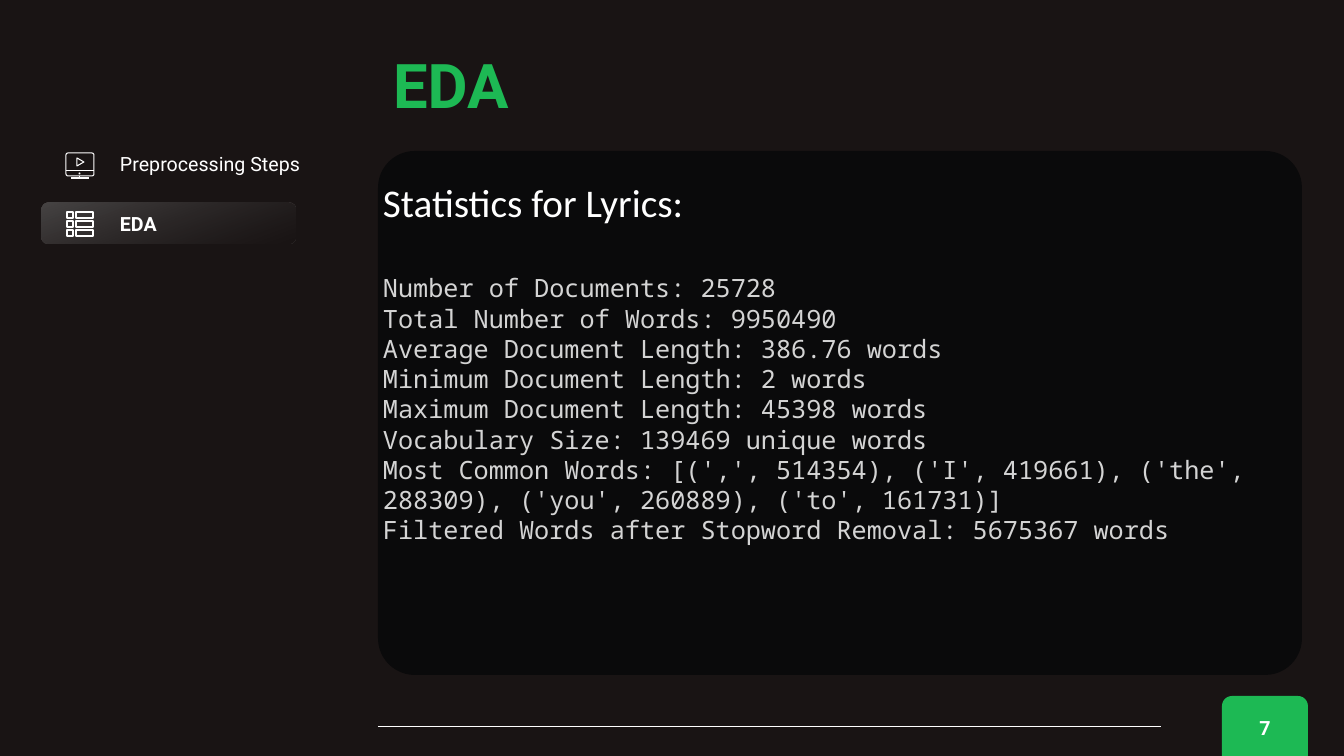
from lxml.etree import SubElement
from pptx import Presentation
from pptx.dml.color import RGBColor
from pptx.enum.shapes import MSO_CONNECTOR, MSO_SHAPE as SHAPE
from pptx.enum.text import MSO_ANCHOR as ANCHOR, MSO_AUTO_SIZE as AUTO_SIZE, PP_ALIGN as ALIGN
from pptx.oxml.ns import qn
from pptx.util import Emu, Pt

PIXEL = 914400 / 100.8
BACKGROUND = RGBColor(0x19, 0x14, 0x14)
GREEN = RGBColor(0x1D, 0xB9, 0x54)
CARD = RGBColor(0x0A, 0x0A, 0x0B)
WHITE = RGBColor(0xFF, 0xFF, 0xFF)
LIGHT_GRAY = RGBColor(0xD4, 0xD4, 0xD4)
MID_GRAY = RGBColor(0x80, 0x80, 0x80)

HEADING = "Statistics for Lyrics:"
STATISTICS = [
    "Number of Documents: 25728",
    "Total Number of Words: 9950490",
    "Average Document Length: 386.76 words",
    "Minimum Document Length: 2 words",
    "Maximum Document Length: 45398 words",
    "Vocabulary Size: 139469 unique words",
    "Most Common Words: [(',', 514354), ('I', 419661), ('the', 288309), "
    "('you', 260889), ('to', 161731)]",
    "Filtered Words after Stopword Removal: 5675367 words",
]


def px(*lengths):
    """Turn pixel lengths into EMU."""
    return [Emu(round(length * PIXEL)) for length in lengths]


def place(shape, left, top, width, height):
    """Move and size a shape, in pixels."""
    shape.left, shape.top, shape.width, shape.height = px(left, top, width, height)


def style_text(para, size, font, color, bold=False, align=ALIGN.LEFT):
    """Format a paragraph and its runs."""
    para.alignment = align
    for span in para.runs:
        span.font.size = Pt(size)
        span.font.name = font
        span.font.color.rgb = color
        span.font.bold = bold


def set_insets(frame, left, top, right, bottom):
    """Set the text margins, in pixels."""
    (frame.margin_left, frame.margin_top,
     frame.margin_right, frame.margin_bottom) = px(left, top, right, bottom)


def add_shape(shapes, kind, box, fill=None, line_width=None, radius=None):
    """Add a preset shape with an optional fill and white outline."""
    shape = shapes.add_shape(kind, *px(*box))
    paint(shape, fill, line_width)
    if radius is not None:
        shape.adjustments[0] = radius
    return shape


def paint(shape, fill, line_width):
    """Replace the theme look of a shape."""
    shape.shadow.inherit = False
    if fill is None:
        shape.fill.background()
    else:
        shape.fill.solid()
        shape.fill.fore_color.rgb = fill
    if line_width is None:
        shape.line.fill.background()
    else:
        shape.line.color.rgb = WHITE
        shape.line.width = Pt(line_width)


def add_line(shapes, start, end, width):
    """Add a straight white line without a shadow."""
    line = shapes.add_connector(MSO_CONNECTOR.STRAIGHT, *px(*start, *end))
    line.line.color.rgb = WHITE
    line.line.width = Pt(width)
    SubElement(line._element.spPr, qn("a:effectLst"))


def add_menu_item(shapes, top, label, selected=False):
    """Add a menu entry, highlighted by a fading gradient when selected."""
    item = add_shape(shapes, SHAPE.ROUNDED_RECTANGLE, (42, top, 253, 41))
    if selected:
        item.fill.gradient()
        item.fill.gradient_angle = 290
        for stop, color, opacity in zip(item.fill.gradient_stops,
                                        (MID_GRAY, BACKGROUND), (45, 25)):
            stop.color.rgb = color
        for color_node, opacity in zip(item._element.spPr.iter(qn("a:srgbClr")), (45, 25)):
            SubElement(color_node, qn("a:alpha"), val=str(opacity * 1000))
    frame = item.text_frame
    frame.text = label
    frame.word_wrap = False
    frame.vertical_anchor = ANCHOR.MIDDLE
    set_insets(frame, 76, 5, 10, 5)
    style_text(frame.paragraphs[0], 14, "Roboto", WHITE, selected)


def add_screen_icon(shapes):
    """Draw a monitor with a play triangle."""
    icon = shapes.add_group_shape().shapes
    add_shape(icon, SHAPE.ROUNDED_RECTANGLE, (66, 153, 28, 23), line_width=0.75, radius=0.09)
    add_line(icon, (71, 178), (89, 178), 0.75)
    add_line(icon, (80, 176), (80, 178), 0.75)
    add_shape(icon, SHAPE.OVAL, (79, 173, 1, 1), line_width=0.75)
    add_line(icon, (66, 171), (94, 171), 0.75)
    builder = icon.build_freeform(77, 158, scale=PIXEL)
    builder.add_line_segments([(77, 166), (84, 162)], close=True)
    paint(builder.convert_to_shape(), None, 0.75)


def add_list_icon(shapes):
    """Draw three rows, each of a small box and a wide bar."""
    icon = shapes.add_group_shape().shapes
    for row in range(3):
        for left, width in ((67, 6), (76, 17)):
            add_shape(icon, SHAPE.RECTANGLE, (left, 212 + 9 * row, width, 6), line_width=1)


def fill_title(title):
    """Write the slide title."""
    place(title, 383, 42, 865, 85)
    frame = title.text_frame
    frame.text = "EDA"
    frame.auto_size = AUTO_SIZE.NONE
    frame.vertical_anchor = ANCHOR.TOP
    style_text(frame.paragraphs[0], 44, "Roboto", GREEN, True)


def fill_statistics(body):
    """Write the heading and the statistics as unbulleted lines."""
    place(body, 383, 173, 874, 489)
    frame = body.text_frame
    frame.text = "\n".join([HEADING, *STATISTICS])
    frame.auto_size = AUTO_SIZE.NONE
    set_insets(frame, 0, 5, 0, 5)
    heading, *lines = frame.paragraphs
    for para in frame.paragraphs:
        properties = para._p.get_or_add_pPr()
        properties.set("marL", "0")
        properties.set("indent", "0")
        para.space_before = Pt(0)
        SubElement(properties, qn("a:buNone"))
    style_text(heading, 28, "Calibri", WHITE)
    heading.space_after = Pt(34)
    for para in lines:
        style_text(para, 18, "Noto Sans Mono", LIGHT_GRAY)
        para.line_spacing = Pt(21.6)


def add_footer(shapes):
    """Add the bottom rule and the page number tab."""
    tab = add_shape(shapes, SHAPE.ROUND_2_SAME_RECTANGLE, (1222, 696, 86, 60), GREEN)
    frame = tab.text_frame
    frame.text = "7"
    frame.vertical_anchor = ANCHOR.MIDDLE
    style_text(frame.paragraphs[0], 14, "Roboto", WHITE, True, ALIGN.CENTER)
    add_line(shapes, (378, 726), (1161, 726), 0.25)


def main():
    """Build the slide and save the deck."""
    deck = Presentation()
    deck.slide_width, deck.slide_height = px(1344, 756)
    page = deck.slides.add_slide(deck.slide_layouts[1])
    page.background.fill.solid()
    page.background.fill.fore_color.rgb = BACKGROUND
    shapes = page.shapes
    title, body = page.placeholders
    fill_title(title)
    fill_statistics(body)
    card = add_shape(shapes, SHAPE.ROUNDED_RECTANGLE, (378, 151, 924, 524), CARD, radius=0.07)
    title._element.addprevious(card._element)
    add_footer(shapes)
    add_menu_item(shapes, 143, "Preprocessing Steps")
    add_menu_item(shapes, 203, "EDA", selected=True)
    add_screen_icon(shapes)
    add_list_icon(shapes)
    deck.save("out.pptx")


main()
